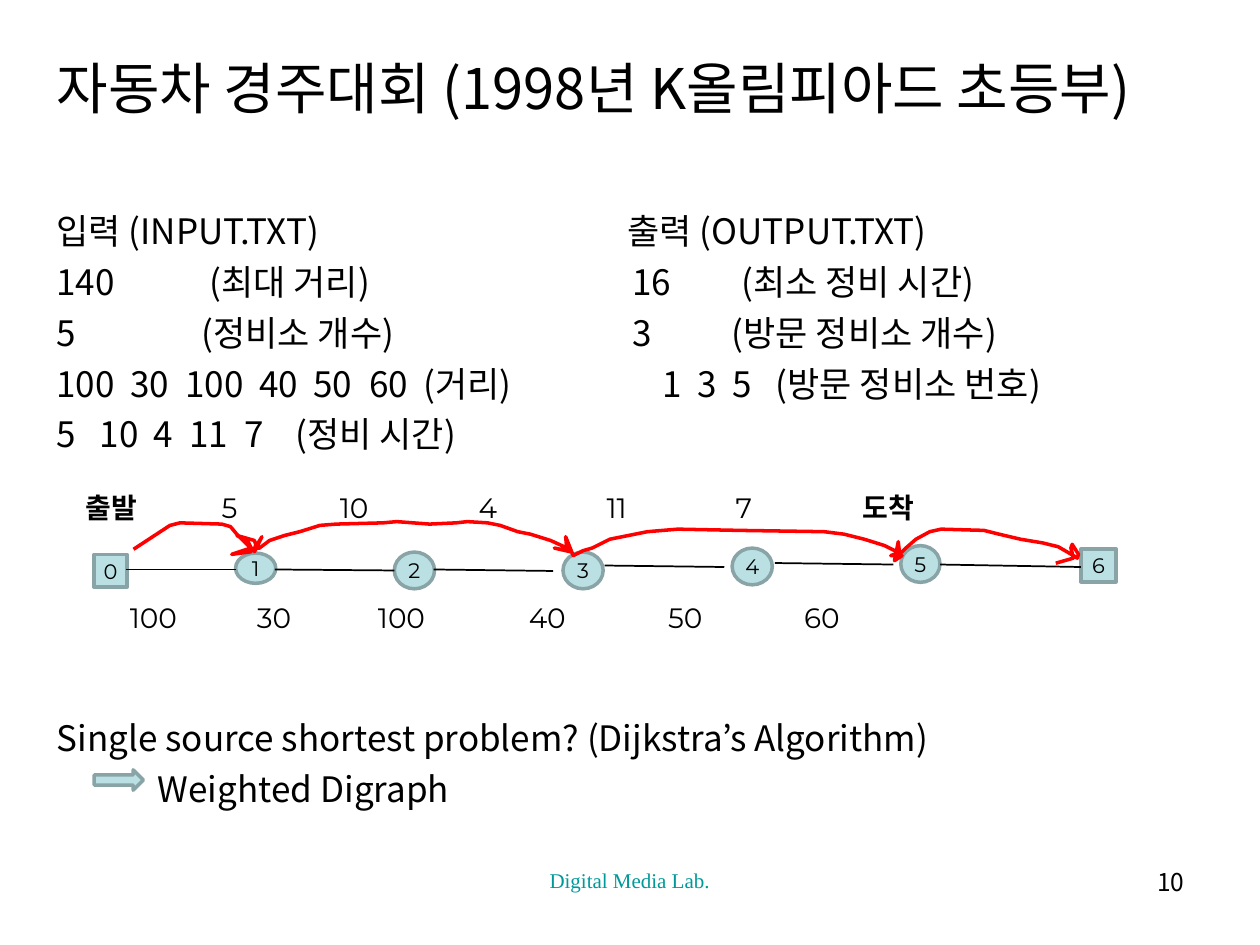
from lxml import etree
from pptx import Presentation
from pptx.dml.color import RGBColor
from pptx.enum.shapes import MSO_CONNECTOR, MSO_SHAPE
from pptx.enum.text import MSO_ANCHOR, MSO_AUTO_SIZE, PP_ALIGN
from pptx.oxml.ns import qn
from pptx.util import Cm, Pt

RECT, OVAL, ARROW = MSO_SHAPE.RECTANGLE, MSO_SHAPE.OVAL, MSO_SHAPE.RIGHT_ARROW
STRAIGHT = MSO_CONNECTOR.STRAIGHT
LEFT, CENTER, RIGHT = PP_ALIGN.LEFT, PP_ALIGN.CENTER, PP_ALIGN.RIGHT
TOP, MIDDLE = MSO_ANCHOR.TOP, MSO_ANCHOR.MIDDLE
NO_FIT = MSO_AUTO_SIZE.NONE
KOREAN, LATIN, SERIF = "Noto Sans CJK KR", "Montserrat", "Times New Roman"


def rgb(color):
    return RGBColor.from_string(color)


def write(s, rows, size, font=KOREAN, color="000000", align=LEFT, anchor=TOP,
          wrap=True, bold=()):
    tf = s.text_frame
    tf.auto_size = NO_FIT
    tf.word_wrap = wrap
    tf.vertical_anchor = anchor
    tf.margin_left = tf.margin_right = tf.margin_top = tf.margin_bottom = 0
    for i, (cells, stops) in enumerate(rows):
        p = tf.add_paragraph() if i else tf.paragraphs[0]
        p.alignment = align
        p.space_before = Pt(5 if i else 0)
        if stops:
            tabs = etree.SubElement(p._p.get_or_add_pPr(), qn("a:tabLst"))
            for stop in stops:
                etree.SubElement(tabs, qn("a:tab"), pos=str(Cm(stop)), algn="l")
        for j, cell in enumerate(cells):
            r = p.add_run()
            r.text = ("\t" if j else "") + cell
            r.font.size = Pt(size)
            r.font.name = font
            r.font.bold = cell in bold
            r.font.color.rgb = rgb(color)
            props = r._r.get_or_add_rPr()
            props.set("kern", "0")
            etree.SubElement(props, qn("a:ea"), typeface=KOREAN)


prs = Presentation()
prs.slide_width, prs.slide_height = Cm(25.4), Cm(19.05)
slide = prs.slides.add_slide(prs.slide_layouts[5])
shapes = slide.shapes

title = shapes.title
title.left, title.top, title.width, title.height = Cm(1.14), Cm(1.07), Cm(23.97), Cm(2)
write(title, [(["자동차 경주대회 (1998년 K올림피아드 초등부)"], [])], 32)

example = [
    (["입력 (INPUT.TXT)", "출력 (OUTPUT.TXT)"], [11.51]),
    (["140", "(최대 거리)", "16", "(최소 정비 시간)"], [3.08, 11.61, 13.81]),
    (["5", "(정비소 개수)", "3", "(방문 정비소 개수)"], [2.92, 11.61, 13.61]),
    (["100", "30", "100", "40", "50", "60", "(거리)", "1", "3", "5", "(방문 정비소 번호)"],
     [1.49, 2.6, 4.09, 5.18, 6.31, 7.4, 12.22, 12.92, 13.63, 14.5]),
    (["5", "10", "4", "11", "7", "(정비 시간)"], [0.87, 1.96, 2.68, 3.79, 4.82]),
]
question = [
    (["Single source shortest problem? (Dijkstra’s Algorithm)"], []),
    (["", "Weighted Digraph"], [2.04]),
]
times = [(["출발", "5", "10", "4", "11", "7", "도착"],
          [2.74, 5.12, 7.92, 10.5, 13.1, 15.66])]
distances = [(["100", "30", "100", "40", "50", "60"],
              [2.56, 5, 8.04, 10.85, 13.59])]
footer = [(["Digital Media Lab."], [])]
number = [(["10"], [])]

texts = [
    (1.14, 4.23, 23.9, 5.2, example, dict(size=20)),
    (1.14, 14.44, 23.9, 2.2, question, dict(size=20)),
    (1.73, 9.88, 21, 0.9, times, dict(size=16, font=LATIN, bold=("출발", "도착"))),
    (2.62, 12.1, 20, 0.8, distances, dict(size=16, font=LATIN)),
    (8.67, 17.48, 8.05, 0.8, footer,
     dict(size=12, font=SERIF, color="009999", align=CENTER)),
    (18.5, 17.48, 5.38, 0.9, number, dict(size=14, align=RIGHT)),
]
for x, y, w, h, rows, style in texts:
    write(shapes.add_textbox(Cm(x), Cm(y), Cm(w), Cm(h)), rows, **style)

marks = [
    (RECT, 1.9, 11.18, 0.66, 0.66, "0"),
    (OVAL, 4.75, 11.15, 0.81, 0.61, "1"),
    (OVAL, 7.95, 11.13, 0.81, 0.74, "2"),
    (OVAL, 11.35, 11.13, 0.81, 0.74, "3"),
    (OVAL, 14.76, 11.05, 0.81, 0.74, "4"),
    (OVAL, 18.16, 11, 0.79, 0.74, "5"),
    (RECT, 21.79, 11.07, 0.71, 0.66, "6"),
    (ARROW, 1.9, 15.52, 0.99, 0.41, ""),
]
for kind, x, y, w, h, label in marks:
    s = shapes.add_shape(kind, Cm(x), Cm(y), Cm(w), Cm(h))
    s.shadow.inherit = False
    s.fill.solid()
    s.fill.fore_color.rgb = rgb("BBE0E3")
    s.line.color.rgb = rgb("89A4A7")
    s.line.width = Pt(2)
    if label:
        write(s, [([label], [])], 12, font=LATIN, align=CENTER, anchor=MIDDLE, wrap=False)

roads = [
    (2.54, 11.48, 4.75, 11.48), (5.54, 11.48, 7.95, 11.5),
    (8.74, 11.48, 11.15, 11.51), (12.19, 11.4, 14.6, 11.43),
    (15.62, 11.35, 18.01, 11.38), (18.95, 11.38, 21.79, 11.43),
]
for x1, y1, x2, y2 in roads:
    s = shapes.add_connector(STRAIGHT, Cm(x1), Cm(y1), Cm(x2), Cm(y2))
    s.line.color.rgb = rgb("000000")
    s.line.width = Pt(1)
    etree.SubElement(s._element.spPr, qn("a:effectLst"))

route = [
    (106, 436), (135, 417), (143, 415), (176, 416), (183, 418), (188, 424), (195, 431),
    (200, 436), (197, 430), (188, 425), (202, 429), (203, 432), (202, 438), (208, 426),
    (203, 434), (199, 438), (184, 440), (196, 436), (206, 435), (214, 429), (226, 425),
    (238, 422), (254, 417), (267, 416), (304, 415), (315, 414), (341, 416), (362, 415),
    (371, 414), (387, 415), (397, 417), (411, 422), (421, 424), (437, 429), (448, 434),
    (453, 438), (440, 435), (450, 437), (449, 426), (455, 441), (463, 437), (470, 435),
    (484, 428), (499, 425), (514, 422), (538, 420), (587, 421), (654, 422), (670, 424),
    (686, 428), (702, 433), (714, 439), (713, 430), (710, 445), (716, 441), (707, 441),
    (716, 438), (719, 435), (727, 428), (738, 422), (747, 420), (781, 421), (793, 424),
    (810, 428), (828, 431), (840, 434), (852, 441), (855, 443), (856, 440), (851, 432),
    (850, 435), (852, 443), (838, 447),
]
builder = shapes.build_freeform(*route[0], scale=Cm(2.54) / 100)
builder.add_line_segments(route[1:], close=False)
s = builder.convert_to_shape()
s.shadow.inherit = False
s.fill.background()
s.line.color.rgb = rgb("FF0000")
s.line.width = Pt(2)

prs.save("out.pptx")
